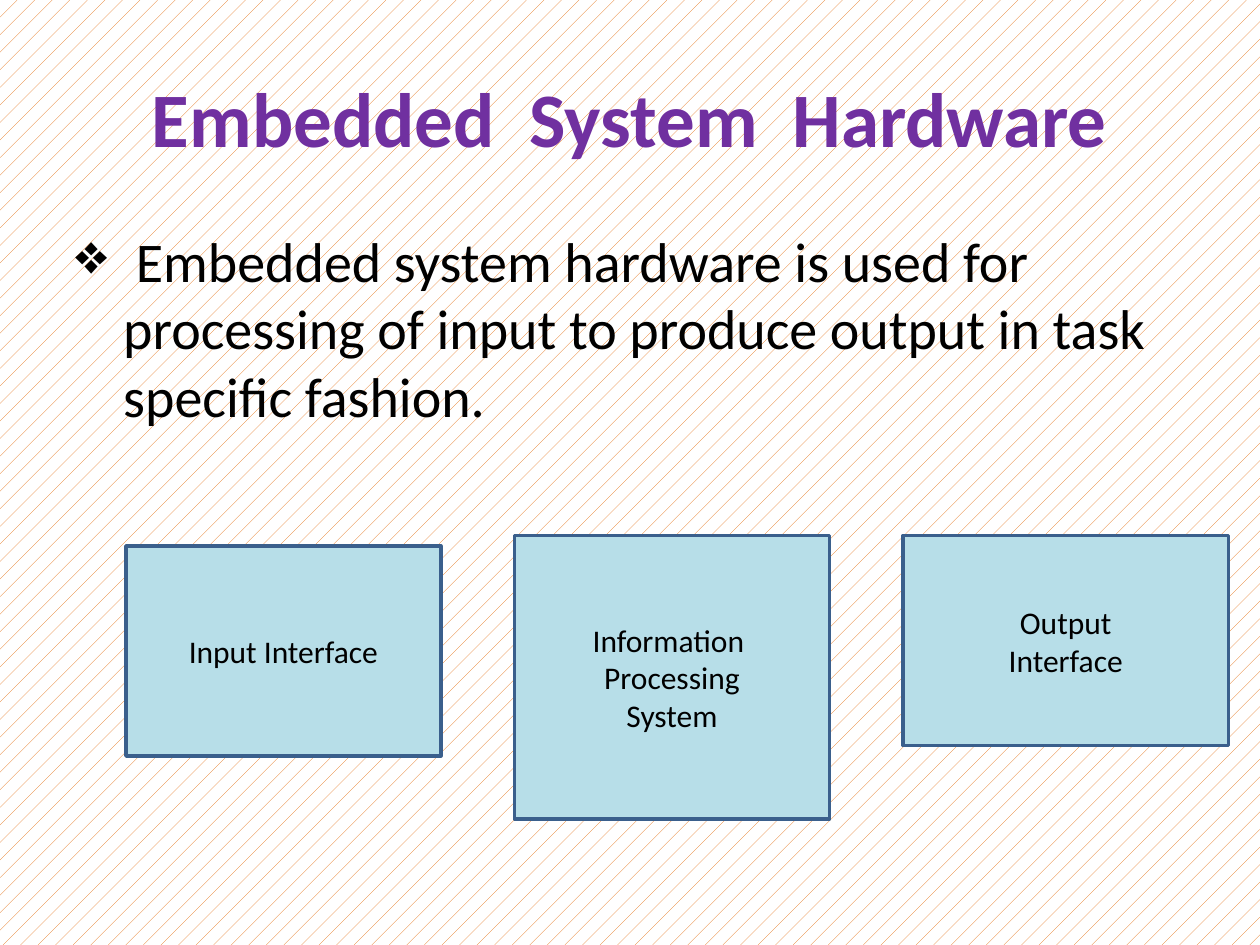
from lxml.etree import SubElement
from pptx import Presentation
from pptx.dml.color import RGBColor
from pptx.enum.dml import MSO_PATTERN
from pptx.enum.shapes import MSO_SHAPE as Shape
from pptx.enum.text import MSO_ANCHOR as Anchor, PP_ALIGN as Align
from pptx.oxml.ns import qn
from pptx.util import Inches, Pt

WIDE, HIGH = Inches(10), Inches(7.5)
FONT = "Calibri"
HUES = {
    "title": "7030A0",
    "text": "000000",
    "fill": "B7DEE8",
    "edge": "3A5F8C",
    "hatch": "E46C0A",
    "page": "FFFFFF",
}
# Text, then left, top, width and height on a grid of 120 columns and 90 rows
BOXES = [
    ("Input Interface", 12, 52, 30, 20),
    ("Information \nProcessing\nSystem", 49, 51, 30, 27),
    ("Output\nInterface", 86, 51, 31, 20),
]


def hue(name):
    return RGBColor.from_string(HUES[name])


def place(left, top, width, height):
    """Turn grid columns and rows into slide lengths."""
    col, row = WIDE / 120, HIGH / 90
    return [round(n) for n in (left * col, top * row, width * col, height * row)]


def write(frame, text, size, color="text", bold=False, align=Align.LEFT,
          anchor=Anchor.MIDDLE):
    frame.text = text
    frame.word_wrap = True
    frame.vertical_anchor = anchor
    for para in frame.paragraphs:
        para.alignment = align
        for run in para.runs:
            font = run.font
            font.name, font.size, font.bold = FONT, Pt(size), bold
            font.color.rgb = hue(color)


def paint(slide):
    fill = slide.background.fill
    fill.patterned()
    fill.pattern = MSO_PATTERN.PERCENT_5
    fill.fore_color.rgb = hue("hatch")
    fill.back_color.rgb = hue("page")


def add_text(slide, spot, text, size, **style):
    frame = slide.shapes.add_textbox(*place(*spot)).text_frame
    write(frame, text, size, **style)
    return frame


def add_mark(para, mark, indent):
    """Give a paragraph a bullet with a hanging indent."""
    props = para._p.get_or_add_pPr()
    props.set("marL", str(indent))
    props.set("indent", str(-indent))
    SubElement(props, qn("a:buChar"), char=mark)


def add_box(slide, text, *spot):
    box = slide.shapes.add_shape(Shape.RECTANGLE, *place(*spot))
    box.shadow.inherit = False
    box.fill.solid()
    box.fill.fore_color.rgb = hue("fill")
    box.line.color.rgb = hue("edge")
    box.line.width = Pt(2)
    write(box.text_frame, text, 18, align=Align.CENTER)


def main():
    deck = Presentation()
    deck.slide_width, deck.slide_height = WIDE, HIGH
    slide = deck.slides.add_slide(deck.slide_layouts[6])
    paint(slide)
    add_text(slide, (6, 3.6, 108, 15), "Embedded  System  Hardware", 44,
             color="title", bold=True, align=Align.CENTER)
    body = add_text(slide, (6, 21, 108, 59.4),
                    " Embedded system hardware is used for processing of input "
                    "to produce output in task specific fashion.",
                    32, anchor=Anchor.TOP)
    add_mark(body.paragraphs[0], "❖", Inches(0.38))
    for box in BOXES:
        add_box(slide, *box)
    deck.save("out.pptx")


if __name__ == "__main__":
    main()
